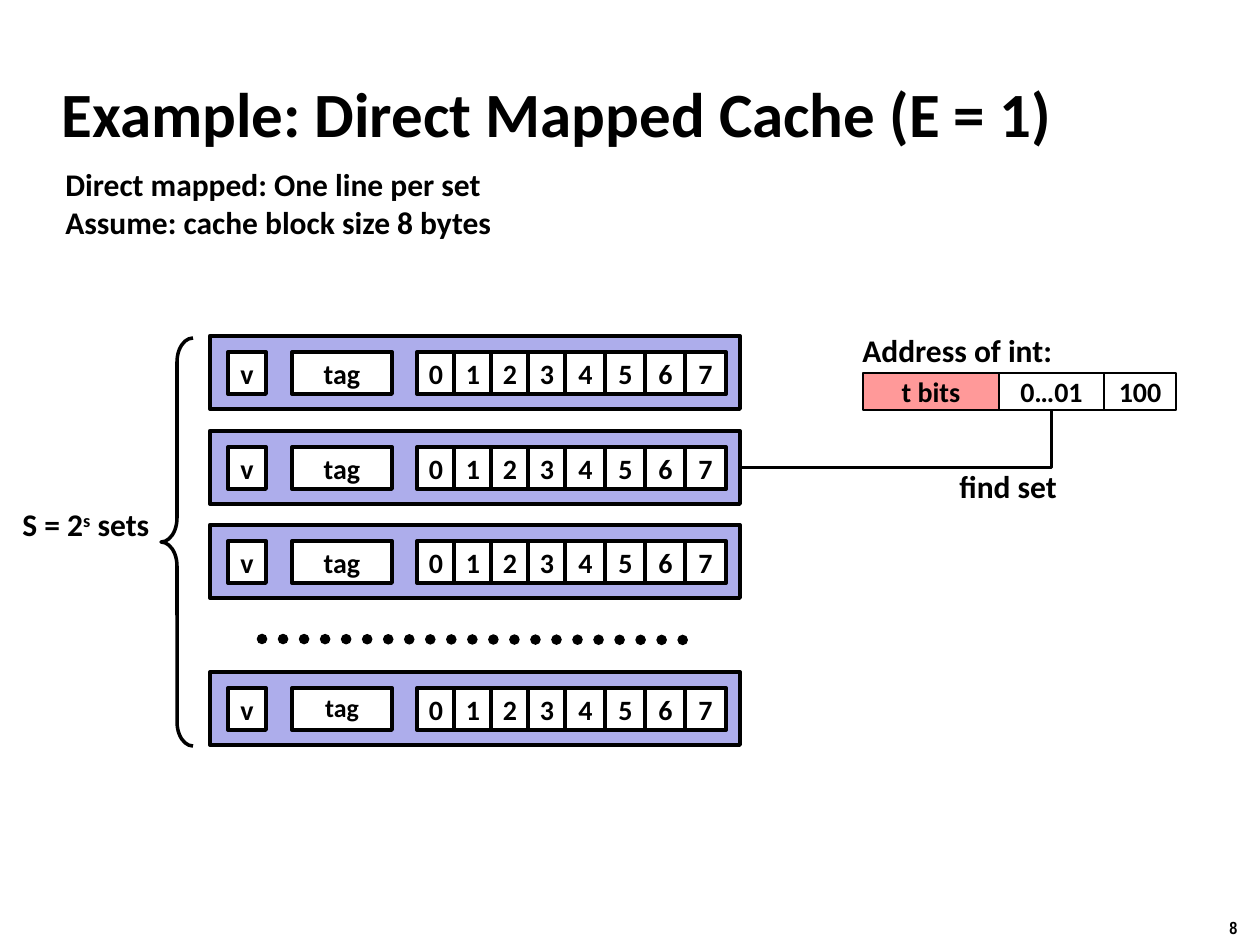
import pptx
import pptx.dml.color
import pptx.enum.dml
import pptx.enum.shapes
import pptx.enum.text
import pptx.oxml.ns
import pptx.util
from lxml import etree

BLACK = pptx.dml.color.RGBColor(0x00, 0x00, 0x00)
WHITE = pptx.dml.color.RGBColor(0xFF, 0xFF, 0xFF)
LAVENDER = pptx.dml.color.RGBColor(0xAD, 0xAD, 0xEB)
PINK = pptx.dml.color.RGBColor(0xFF, 0x99, 0x99)

EMU_PER_PX = 914400 / 126
SHAPES = pptx.enum.shapes.MSO_SHAPE
CONNECTORS = pptx.enum.shapes.MSO_CONNECTOR
ANCHOR = pptx.enum.text.MSO_ANCHOR
CENTER = pptx.enum.text.PP_ALIGN.CENTER

SET_TOPS = [336, 431, 525, 672]
SET_LEFT, SET_WIDTH, SET_HEIGHT = 210, 530, 73
FIELD_INSET, FIELD_HEIGHT = 16, 42


def px(length):
    return pptx.util.Emu(round(length * EMU_PER_PX))


def box(left, top, width, height):
    return px(left), px(top), px(width), px(height)


def add_run(paragraph, text, size, font="Calibri"):
    run = paragraph.add_run()
    run.text = text
    run.font.size = pptx.util.Pt(size)
    run.font.name = font
    run.font.bold = True
    run.font.color.rgb = BLACK
    return run


def add_text(slide, bounds, lines, size=18, font="Calibri", wrap=False):
    """Add a text box; each line is a list of (text, is_superscript) pairs."""
    shape = slide.shapes.add_textbox(*box(*bounds))
    frame = shape.text_frame
    frame.word_wrap = wrap
    if not wrap:
        frame.auto_size = pptx.enum.text.MSO_AUTO_SIZE.SHAPE_TO_FIT_TEXT
    for index, line in enumerate(lines):
        paragraph = frame.add_paragraph() if index else frame.paragraphs[0]
        for text, superscript in line:
            run = add_run(paragraph, text, size, font)
            if superscript:
                run.font._element.set("baseline", "30000")
    return shape


def add_rectangle(slide, bounds, fill, line_width):
    shape = slide.shapes.add_shape(SHAPES.RECTANGLE, *box(*bounds))
    shape.shadow.inherit = False
    shape.fill.solid()
    shape.fill.fore_color.rgb = fill
    shape.line.color.rgb = BLACK
    shape.line.width = pptx.util.Pt(line_width)
    return shape


def add_field(slide, bounds, text, fill=WHITE, line_width=2.25, size=16, wrap=False):
    shape = add_rectangle(slide, bounds, fill, line_width)
    frame = shape.text_frame
    frame.word_wrap = wrap
    frame.vertical_anchor = ANCHOR.MIDDLE
    paragraph = frame.paragraphs[0]
    paragraph.alignment = CENTER
    add_run(paragraph, text, size)
    return shape


def add_line(slide, kind, start, end, width):
    connector = slide.shapes.add_connector(
        kind, px(start[0]), px(start[1]), px(end[0]), px(end[1]))
    connector.line.color.rgb = BLACK
    connector.line.width = pptx.util.Pt(width)
    etree.SubElement(connector._element.spPr, pptx.oxml.ns.qn("a:effectLst"))
    return connector


def add_cache_set(slide, top, tag_size=16):
    cache_set = add_rectangle(
        slide, (SET_LEFT, top, SET_WIDTH, SET_HEIGHT), LAVENDER, 2.25)
    field_top = top + FIELD_INSET
    add_field(slide, (228, field_top, 38, FIELD_HEIGHT), "v")
    tag = add_field(slide, (292, field_top, 100, FIELD_HEIGHT), "tag", size=tag_size)
    if tag_size < 16:
        tag.text_frame.paragraphs[0].line_spacing = 0.9
    left = 417
    for byte in range(8):
        step = 37 if byte < 4 else 40
        add_field(slide, (left, field_top, step + 1, FIELD_HEIGHT), str(byte))
        left += step
    return cache_set


def add_address(slide):
    """Draw the address fields and return the set index field."""
    fields = []
    left = 863
    for text, width, fill in [("t bits", 136, PINK), ("0…01", 105, WHITE), ("100", 72, WHITE)]:
        fields.append(add_field(slide, (left, 373, width, 37), text, fill, 1, wrap=True))
        left += width
    return fields[1]


def add_set_lookup(slide, index_field, cache_set):
    """Join the index field's bottom to the set's right side with one bend."""
    start_x = index_field.left + index_field.width // 2
    start_y = index_field.top + index_field.height
    end_x = cache_set.left + cache_set.width
    end_y = cache_set.top + cache_set.height // 2
    connector = add_line(slide, CONNECTORS.ELBOW, (0, 0), (1, 1), 2.25)
    connector.begin_connect(index_field, 2)
    connector.end_connect(cache_set, 3)
    properties = connector._element.spPr
    properties.prstGeom.set("prst", "bentConnector2")
    # A quarter turn swaps the extents about the shared centre.
    transform = properties.xfrm
    for flip in ("flipH", "flipV"):
        transform.attrib.pop(flip, None)
    transform.set("rot", "5400000")
    width, height = end_y - start_y, start_x - end_x
    connector.left = (start_x + end_x - width) // 2
    connector.top = (start_y + end_y - height) // 2
    connector.width, connector.height = width, height


def add_brace(slide):
    brace = slide.shapes.add_shape(SHAPES.LEFT_BRACE, *box(161, 338, 32, 408))
    brace.shadow.inherit = False
    brace.adjustments[0] = 0.75
    brace.adjustments[1] = 0.5
    brace.fill.background()
    brace.line.color.rgb = BLACK
    brace.line.width = pptx.util.Pt(2)


def add_dots(slide):
    dots = add_line(slide, CONNECTORS.STRAIGHT, (262, 639), (693, 640), 6)
    dots.line.dash_style = pptx.enum.dml.MSO_LINE.ROUND_DOT
    dots.line._ln.set("cap", "rnd")


def main():
    presentation = pptx.Presentation()
    presentation.slide_width, presentation.slide_height = px(1260), px(945)
    slide = presentation.slides.add_slide(presentation.slide_layouts[6])

    title = add_text(slide, (49, 60, 1046, 105),
                     [[("Example: Direct Mapped Cache (E = 1)", False)]], 36, wrap=True)
    title.text_frame.vertical_anchor = ANCHOR.MIDDLE
    add_text(slide, (53, 159, 455, 89),
             [[("Direct mapped: One line per set", False)],
              [("Assume: cache block size 8 bytes", False)]])

    add_brace(slide)
    add_text(slide, (10, 499, 155, 50),
             [[("S = 2", False), ("s", True), (" sets", False)]])
    cache_sets = [add_cache_set(slide, top) for top in SET_TOPS[:-1]]
    add_dots(slide)
    add_cache_set(slide, SET_TOPS[-1], tag_size=14.8)

    add_text(slide, (850, 325, 217, 50), [[("Address of int:", False)]])
    index_field = add_address(slide)
    add_set_lookup(slide, index_field, cache_sets[1])
    add_text(slide, (947, 461, 123, 50), [[("find set", False)]])
    add_text(slide, (1217, 911, 43, 34), [[("8", False)]], 10, "Arial Narrow")

    presentation.save("out.pptx")


if __name__ == "__main__":
    main()
